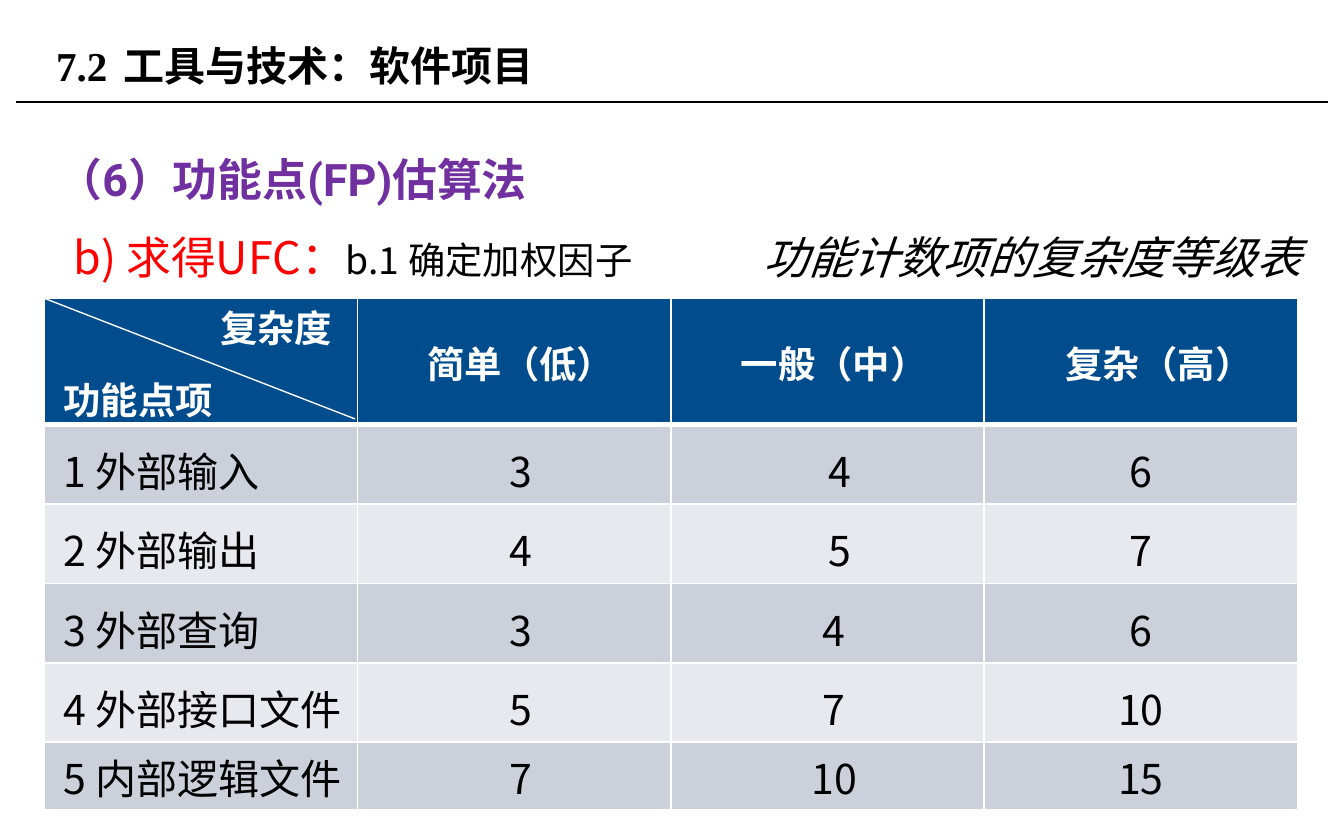
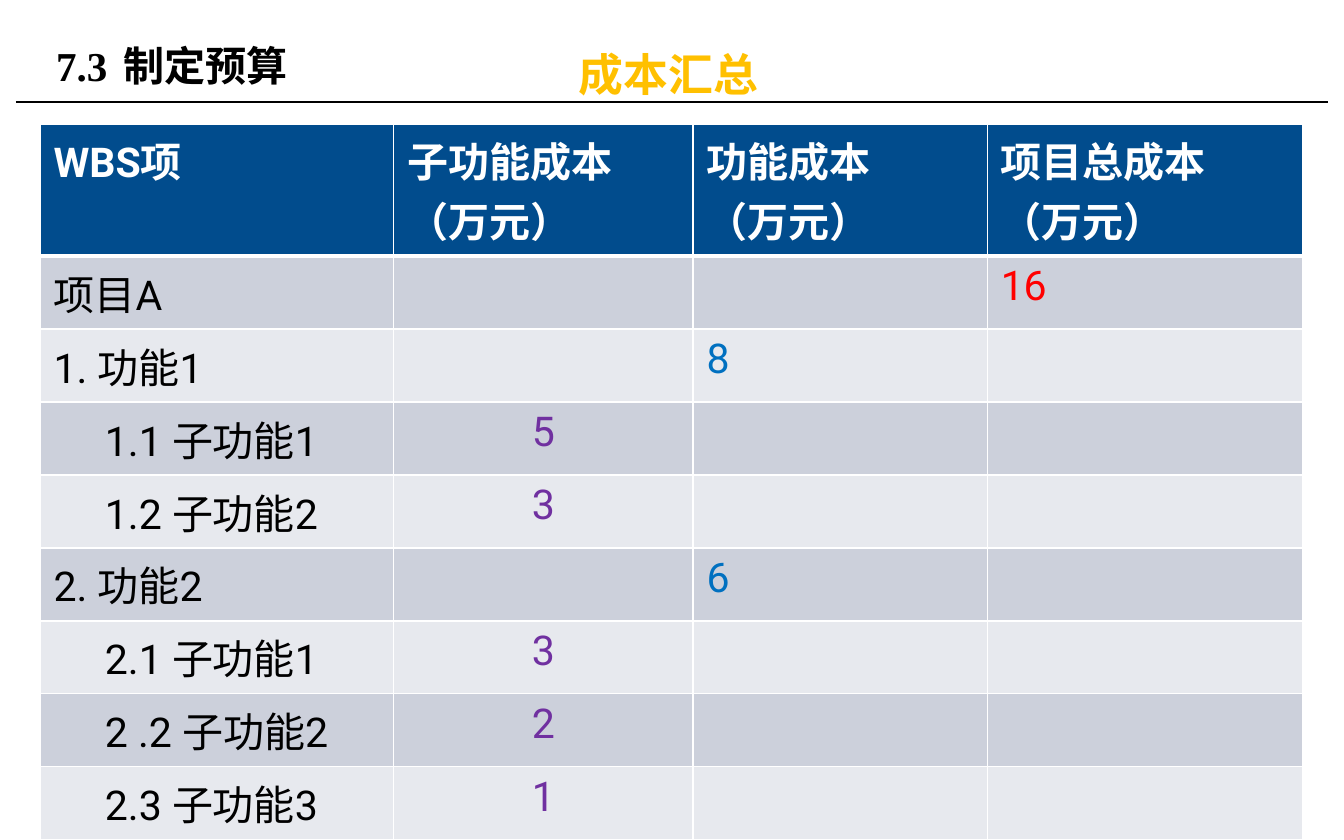
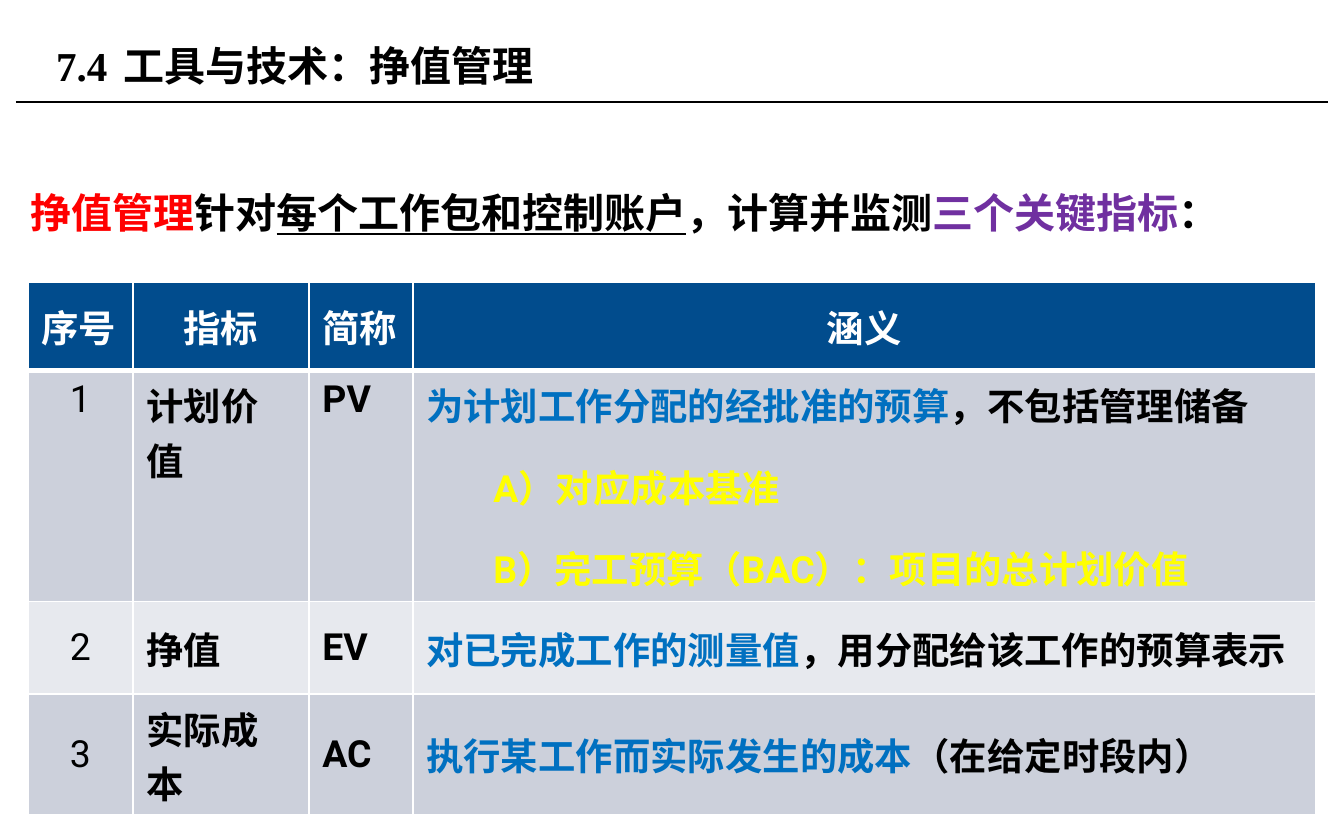
from lxml import etree
from pptx import Presentation
from pptx.dml.color import RGBColor
from pptx.enum import shapes, text
from pptx.oxml.ns import qn
from pptx.util import Cm, Pt

BLACK = RGBColor(0x00, 0x00, 0x00)
WHITE = RGBColor(0xFF, 0xFF, 0xFF)
NAVY = RGBColor(0x01, 0x4C, 0x8D)
BANDS = (RGBColor(0xCC, 0xD0, 0xDB), RGBColor(0xE7, 0xE9, 0xEE))
RED = RGBColor(0xFF, 0x00, 0x00)
BLUE = RGBColor(0x00, 0x70, 0xC0)
PURPLE = RGBColor(0x70, 0x30, 0xA0)
GOLD = RGBColor(0xFF, 0xC0, 0x00)
YELLOW = RGBColor(0xFF, 0xFF, 0x00)

SERIF = "Times New Roman"
SANS = "Roboto"
CJK = "Noto Sans CJK SC"
CJK_WIDE = "Noto Sans CJK JP"

LEFT, CENTER = text.PP_ALIGN.LEFT, text.PP_ALIGN.CENTER
TOP, MIDDLE, BOTTOM = (text.MSO_ANCHOR.TOP, text.MSO_ANCHOR.MIDDLE,
                       text.MSO_ANCHOR.BOTTOM)

WEIGHT_HEADER = ("功能点项", "简单（低）", "一般（中）", "复杂（高）")
WEIGHT_HEADER_INDENTS = (0.36, 0.25, 0.25, 0.69)
WEIGHT_ROWS = (
    ("1 外部输入", "3", "4", "6"),
    ("2 外部输出", "4", "5", "7"),
    ("3 外部查询", "3", "4", "6"),
    ("4 外部接口文件", "5", "7", "10"),
    ("5 内部逻辑文件", "7", "10", "15"),
)
AVERAGE_INDENTS = (0.48, 0.48, 0.25, 0.25, 0.25)

COST_HEADER = (["WBS项"], ["子功能成本（万元）"],
               ["功能成本", "（万元）"], ["项目总成本", "（万元）"])
COST_COLORS = (BLACK, PURPLE, BLUE, RED)
COST_ROWS = (
    ("项目A", 3, "16"),
    ("1. 功能1", 2, "8"),
    ("1.1 子功能1", 1, "5"),
    ("1.2 子功能2", 1, "3"),
    ("2. 功能2", 2, "6"),
    ("2.1 子功能1", 1, "3"),
    ("2 .2 子功能2", 1, "2"),
    ("2.3 子功能3", 1, "1"),
)

VALUE_LEAD = [("挣值管理", RED), ("针对", BLACK),
              ("每个工作包和控制账户", BLACK, True),
              ("，计算并监测", BLACK), ("三个关键指标", PURPLE), ("：", BLACK)]
VALUE_HEADER = ("序号", "指标", "简称", "涵义")
VALUE_ROWS = (
    ("1", "计划价值", "PV",
     [("为计划工作分配的经批准的预算", BLUE), ("，不包括管理储备", BLACK)]),
    ("2", "挣值", "EV",
     [("对已完成工作的测量值", BLUE), ("，用分配给该工作的预算表示", BLACK)]),
    ("3", "实际成本", "AC",
     [("执行某工作而实际发生的成本", BLUE), ("（在给定时段内）", BLACK)]),
)
PLANNED_NOTES = ("A）对应成本基准", "B）完工预算（BAC）：项目的总计划价值")


def write_para(para, spans, size, font=SANS, color=BLACK, bold=False,
               italic=False, align=LEFT, indent=0, spacing=None, tab=None):
    para.alignment = align
    if spacing:
        para.line_spacing = spacing
    props = para._p.get_or_add_pPr()
    props.set("marL", str(Cm(indent)))
    props.set("indent", "0")
    if tab:
        stops = etree.SubElement(props, qn("a:tabLst"))
        etree.SubElement(stops, qn("a:tab"), pos=str(Cm(tab)), algn="l")
    para.font.size = Pt(size)
    para.font.name = font
    para.font.bold = bold
    para.font.italic = italic
    para.font.color.rgb = color
    east = etree.SubElement(props.find(qn("a:defRPr")), qn("a:ea"))
    east.set("typeface", font if font == CJK_WIDE else CJK)
    if isinstance(spans, str):
        spans = [(spans,)] if spans else []
    for words, *look in spans:
        span = para.add_run()
        span.text = words
        if look:
            span.font.color.rgb = look[0]
        if len(look) > 1:
            span.font.underline = look[1]


def write(frame, lines, size, **look):
    for number, spans in enumerate(lines):
        para = frame.add_paragraph() if number else frame.paragraphs[0]
        write_para(para, spans, size, **look)


def add_text(page, place, spans, size, wrap=True, anchor=TOP, **look):
    box = page.shapes.add_textbox(*map(Cm, place))
    box.text_frame.word_wrap = wrap
    box.text_frame.vertical_anchor = anchor
    write(box.text_frame, [spans], size, **look)
    return box


def add_line(page, start, end, color):
    line = page.shapes.add_connector(shapes.MSO_CONNECTOR.STRAIGHT,
                                     *map(Cm, start + end))
    line.line.color.rgb = color
    line.line.width = Pt(0.75)
    etree.SubElement(line._element.spPr, qn("a:effectLst"))


def add_page(deck, number, name, width=16.2):
    page = deck.slides.add_slide(deck.slide_layouts[6])
    add_line(page, (0.3, 1.93), (25.1, 1.93), BLACK)
    add_text(page, (0.81, 0.33, width, 1.8), f"{number}\t{name}", 22,
             anchor=MIDDLE, font=SERIF, bold=True, tab=1.56)
    return page


def add_border(cell, side, width):
    line = etree.SubElement(cell._tc.get_or_add_tcPr(), qn(f"a:ln{side}"),
                            w=str(Pt(width)))
    paint = etree.SubElement(line, qn("a:solidFill"))
    etree.SubElement(paint, qn("a:srgbClr"), val=str(WHITE))


def add_grid(page, left, top, widths, heights):
    frame = page.shapes.add_table(len(heights), len(widths), Cm(left), Cm(top),
                                  Cm(sum(widths)), Cm(sum(heights)))
    table = frame.table
    for column, width in zip(table.columns, widths):
        column.width = Cm(width)
    for index, (row, height) in enumerate(zip(table.rows, heights)):
        row.height = Cm(height)
        for cell in row.cells:
            for side in "LRTB":
                heavy = (index, side) in ((0, "B"), (1, "T"))
                add_border(cell, side, 3 if heavy else 1)
            cell.fill.solid()
            cell.fill.fore_color.rgb = BANDS[(index - 1) % 2] if index else NAVY
    return table


def set_cell(cell, lines, size, anchor=TOP, margins=None, **look):
    cell.vertical_anchor = anchor
    if margins:
        (cell.margin_left, cell.margin_top,
         cell.margin_right, cell.margin_bottom) = map(Cm, margins)
    write(cell.text_frame, lines, size, **look)


def add_weights(deck):
    page = add_page(deck, "7.2", "工具与技术：软件项目", 18.5)
    add_text(page, (0.84, 2.24, 22.81, 9.91), "（6）功能点(FP)估算法", 24,
             color=PURPLE, bold=True, spacing=1.5)
    caption = add_text(page, (14.43, 4.32, 10.21, 1.07),
                       "功能计数项的复杂度等级表", 24, font=CJK, italic=True)
    frame = caption.text_frame
    frame.margin_left = frame.margin_right = frame.margin_bottom = 0
    frame.margin_top = Cm(0.03)

    left, top = 0.84, 5.64
    table = add_grid(page, left, top, [5.92] * 4, [2.39] + [1.5] * 4 + [1.27])
    for column, label in enumerate(WEIGHT_HEADER):
        set_cell(table.cell(0, column), [label], 20,
                 anchor=MIDDLE if column else BOTTOM, margins=(0, 0.03, 0, 0),
                 font=CJK_WIDE, color=WHITE, bold=True,
                 align=CENTER if column else LEFT,
                 indent=WEIGHT_HEADER_INDENTS[column])
    for row, (values, average) in enumerate(zip(WEIGHT_ROWS, AVERAGE_INDENTS), 1):
        head = 0.03 if row == len(WEIGHT_ROWS) else 0.2
        for column, indent in enumerate((0.36, 0.25, average, 0)):
            set_cell(table.cell(row, column), [values[column]], 22,
                     anchor=MIDDLE, margins=(0, head, 0, 0), font=CJK_WIDE,
                     align=CENTER if column else LEFT, indent=indent)
    add_line(page, (left, top), (6.71, 7.92), WHITE)
    add_text(page, (3.91, top, 2.64, 1.12), "复杂度", 20, wrap=False,
             color=WHITE, bold=True)
    step = add_text(page, (1.14, 4.22, 12.32, 1.27),
                    [("b) 求得UFC：", RED), ("b.1 确定加权因子", BLACK)], 24,
                    font=CJK_WIDE)
    step.text_frame.paragraphs[0].runs[1].font.size = Pt(20)


def add_costs(deck):
    page = add_page(deck, "7.3", "制定预算")
    table = add_grid(page, 0.76, 2.34, (6.68, 5.66, 5.56, 5.97),
                     [2.5] + [1.38] * len(COST_ROWS))
    for column, lines in enumerate(COST_HEADER):
        set_cell(table.cell(0, column), lines, 22, color=WHITE, bold=True)
    for row, (item, place, cost) in enumerate(COST_ROWS, 1):
        values = {0: item, place: cost}
        for column, color in enumerate(COST_COLORS):
            nested = column == 0 and place == 1
            set_cell(table.cell(row, column), [values.get(column, "")], 22,
                     color=color, align=CENTER if column == 1 else LEFT,
                     indent=0.97 if nested else 0)
    add_text(page, (10.69, 0.76, 5.41, 1.27), "成本汇总", 24, color=GOLD,
             bold=True)


def add_earned_value(deck):
    page = add_page(deck, "7.4", "工具与技术：挣值管理")
    add_text(page, (0.08, 2.95, 24.43, 9.91), VALUE_LEAD, 22, font=SERIF,
             bold=True, indent=0.25, spacing=1.5)
    table = add_grid(page, 0.53, 5.33, (1.98, 3.33, 1.96, 17.07),
                     (1.68, 4.36, 1.75, 2.29))
    for column, label in enumerate(VALUE_HEADER):
        set_cell(table.cell(0, column), [label], 20, anchor=MIDDLE,
                 color=WHITE, bold=True, align=CENTER if column % 2 else LEFT)
    for row, values in enumerate(VALUE_ROWS, 1):
        for column, value in enumerate(values):
            set_cell(table.cell(row, column), [value], 20,
                     anchor=TOP if row == 1 else MIDDLE, bold=column > 0,
                     align=LEFT if column else CENTER)
    meaning = table.cell(1, 3).text_frame
    for note in PLANNED_NOTES:
        write_para(meaning.add_paragraph(), note, 20, color=YELLOW, bold=True,
                   indent=1.27, spacing=1.5)


def main():
    deck = Presentation()
    deck.slide_width, deck.slide_height = Cm(25.4), Cm(15.88)
    add_weights(deck)
    add_costs(deck)
    add_earned_value(deck)
    deck.save("out.pptx")


if __name__ == "__main__":
    main()
